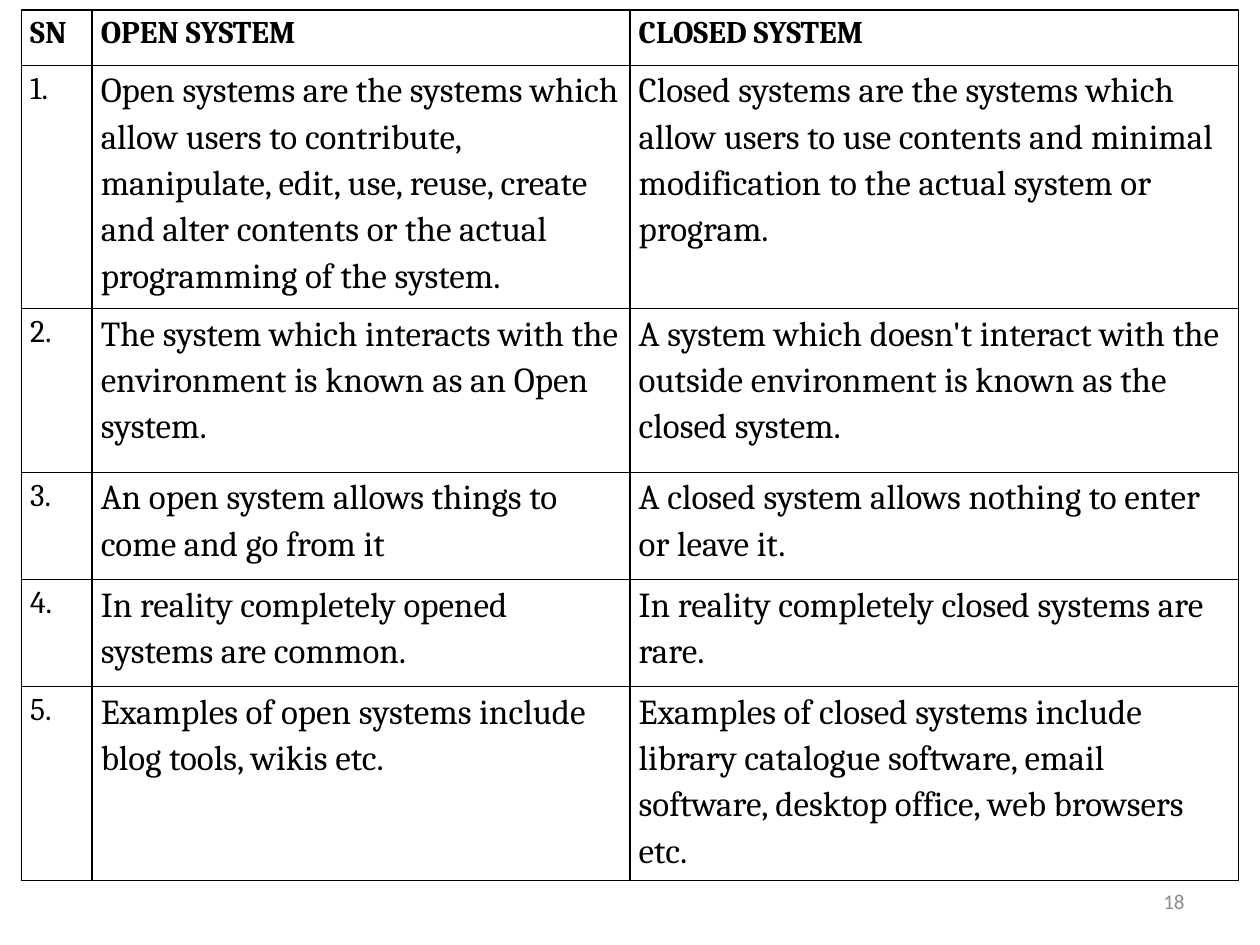
from lxml import etree
from pptx import Presentation
from pptx import util as u
from pptx.dml.color import RGBColor
from pptx.enum import text
from pptx.oxml.ns import qn

COLUMN_WIDTHS = [0.56, 4.27, 4.83]
ROW_HEIGHTS = [0.44, 1.93, 1.3, 0.85, 0.85, 1.54]
HEADINGS = ("SN", "OPEN SYSTEM", "CLOSED SYSTEM")
COMPARISONS = [
    ("Open systems are the systems which allow users to contribute, manipulate, edit, use, reuse, "
     "create and alter contents or the actual programming of the system.",
     "Closed systems are the systems which allow users to use contents and minimal modification "
     "to the actual system or program."),
    ("The system which interacts with the environment is known as an Open system.",
     "A system which doesn't interact with the outside environment is known as the closed system."),
    ("An open system allows things to come and go from it",
     "A closed system allows nothing to enter or leave it."),
    ("In reality completely opened systems are common.",
     "In reality completely closed systems are rare."),
    ("Examples of open systems include blog tools, wikis etc.",
     "Examples of closed systems include library catalogue software, email software, "
     "desktop office, web browsers etc."),
]


def color(value):
    return RGBColor.from_string(value)


class SlideBuilder:
    ink = "000000"
    muted = "8C8C8C"
    body_font = "Cambria"
    number_font = "Calibri"

    def __init__(self, slide):
        self.slide = slide

    def format_runs(self, paragraph, font, size, ink, bold=False):
        for run in paragraph.runs:
            run.font.name = font
            run.font.size = u.Pt(size)
            run.font.bold = bold
            run.font.color.rgb = color(ink)

    def border(self, cell):
        properties = cell._tc.get_or_add_tcPr()
        for index, side in enumerate(("lnL", "lnR", "lnT", "lnB")):
            line = etree.Element(qn(f"a:{side}"), w=str(u.Pt(1)))
            fill = etree.SubElement(line, qn("a:solidFill"))
            etree.SubElement(fill, qn("a:srgbClr"), val=self.ink)
            properties.insert(index, line)

    def cell(self, cell, content, size, bold):
        cell.fill.background()
        cell.margin_left = cell.margin_right = u.Inches(0.07)
        cell.margin_top = cell.margin_bottom = 0
        cell.text_frame.text = content
        paragraph = cell.text_frame.paragraphs[0]
        paragraph.line_spacing = 1.15
        self.format_runs(paragraph, self.body_font, size, self.ink, bold)
        self.border(cell)

    def table(self, left, top, rows):
        shape = self.slide.shapes.add_table(
            len(rows), len(COLUMN_WIDTHS), u.Inches(left), u.Inches(top),
            u.Inches(sum(COLUMN_WIDTHS)), u.Inches(sum(ROW_HEIGHTS)))
        table = shape.table
        table.first_row = table.horz_banding = False
        for column, width in zip(table.columns, COLUMN_WIDTHS):
            column.width = u.Inches(width)
        for row, height in zip(table.rows, ROW_HEIGHTS):
            row.height = u.Inches(height)
        for row_index, row in enumerate(rows):
            for column_index, content in enumerate(row):
                heading = row_index == 0
                size = 18 if heading or column_index == 0 else 20
                self.cell(table.cell(row_index, column_index), content, size, heading)

    def page_number(self, left, top, width, height, content):
        shape = self.slide.shapes.add_textbox(
            u.Inches(left), u.Inches(top), u.Inches(width), u.Inches(height))
        frame = shape.text_frame
        frame.word_wrap = True
        frame.vertical_anchor = text.MSO_ANCHOR.MIDDLE
        frame.text = content
        paragraph = frame.paragraphs[0]
        paragraph.alignment = text.PP_ALIGN.RIGHT
        self.format_runs(paragraph, self.number_font, 12, self.muted)


def main():
    presentation = Presentation()
    presentation.slide_width = u.Inches(10)
    presentation.slide_height = u.Inches(7.5)
    builder = SlideBuilder(presentation.slides.add_slide(presentation.slide_layouts[6]))
    builder.page_number(7.17, 6.95, 2.33, 0.4, "18")
    numbered = [(f"{number}.", *pair) for number, pair in enumerate(COMPARISONS, 1)]
    builder.table(0.17, 0.08, [HEADINGS, *numbered])
    presentation.save("out.pptx")


if __name__ == "__main__":
    main()
